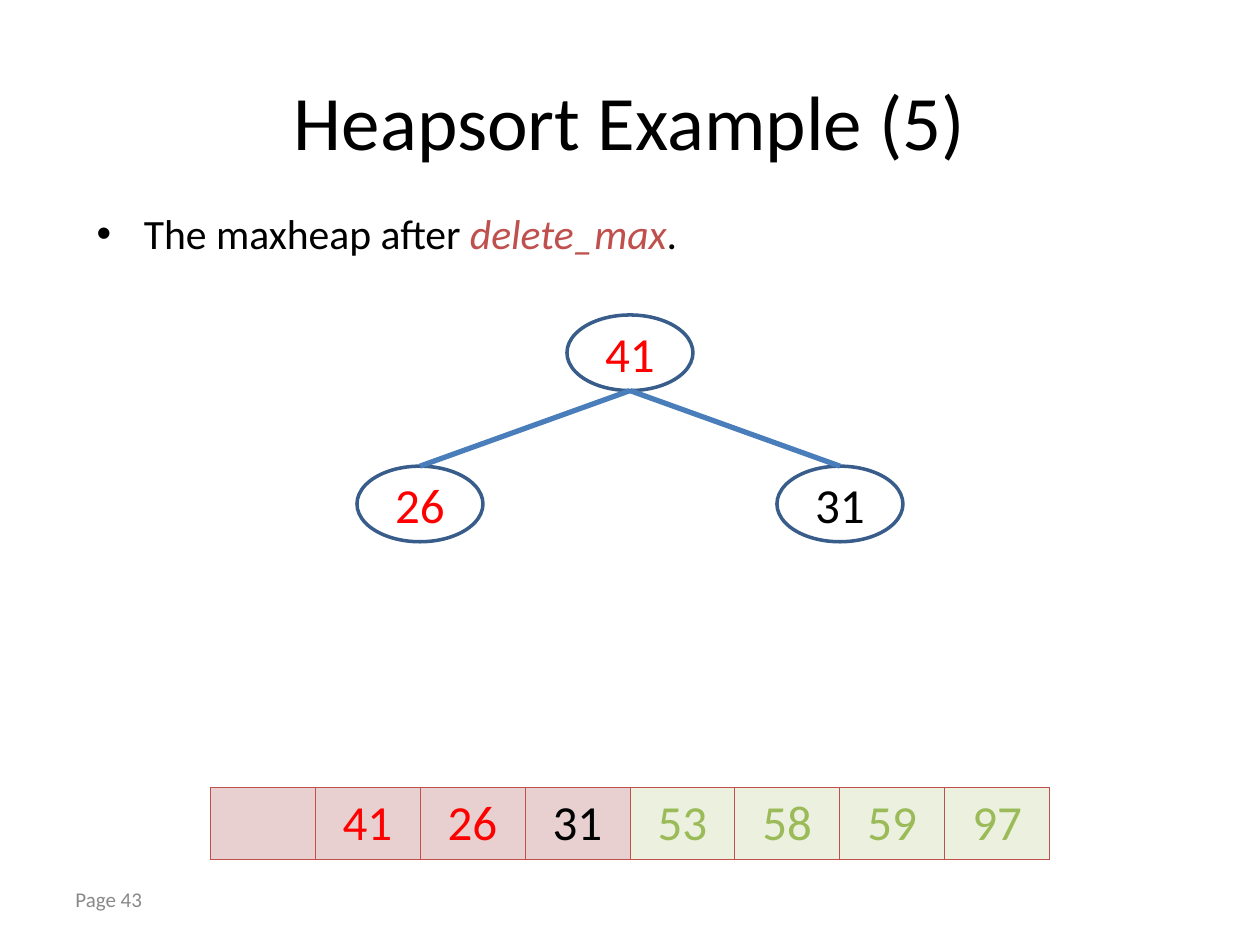
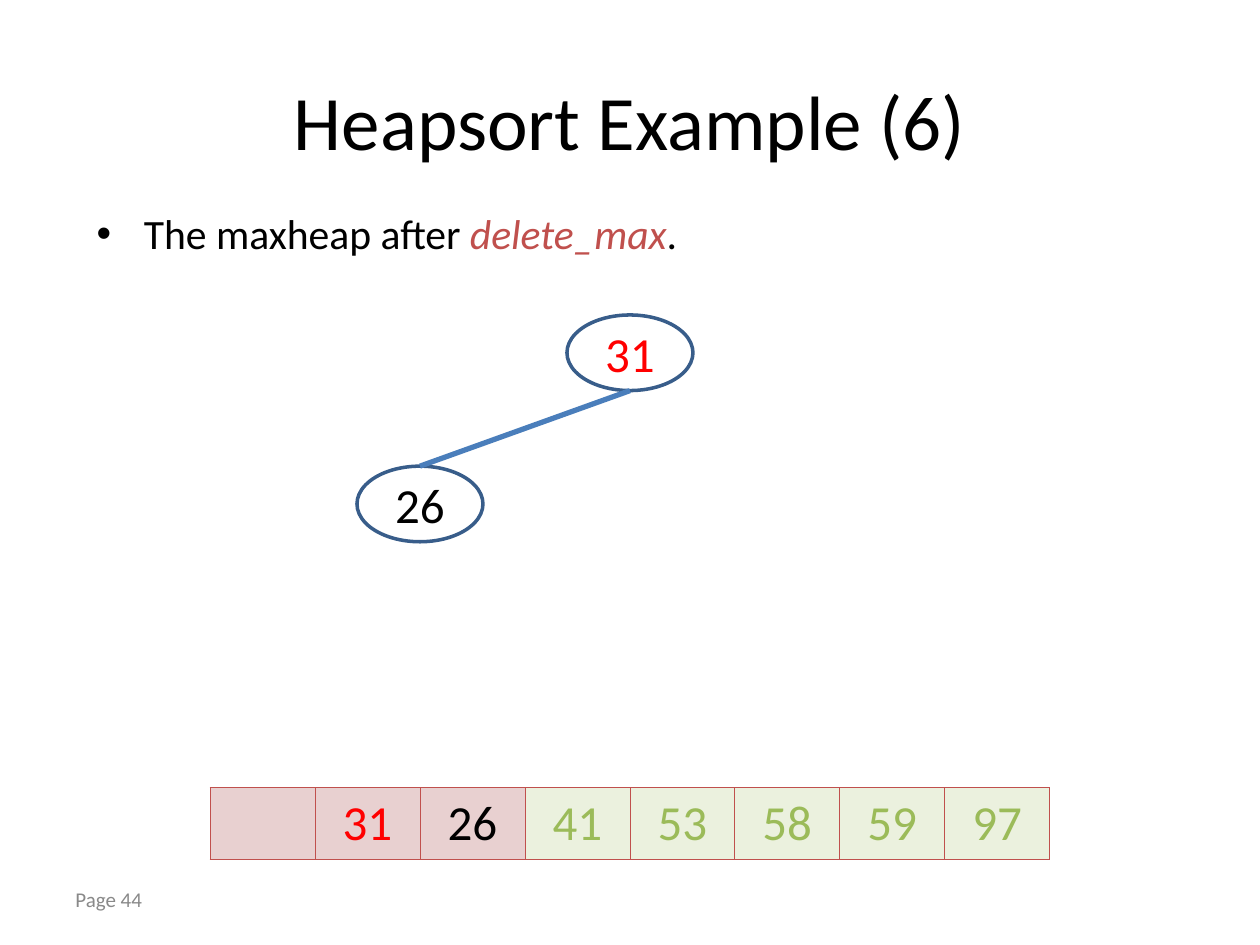
from pptx import Presentation
from pptx.dml.color import RGBColor
from pptx.enum.shapes import MSO_CONNECTOR as Line, MSO_SHAPE as Shape
from pptx.enum.text import MSO_ANCHOR as Anchor, MSO_AUTO_SIZE as AutoSize, PP_ALIGN as Align
from pptx.oxml.ns import qn
from pptx.util import Pt
from lxml.etree import SubElement

BLACK, RED, GREEN, GRAY = "000000", "FF0000", "9BBB59", "898989"
ACCENT, NODE_LINE, EDGE = "C0504D", "385D8A", "4A7EBB"
HEAP_FILL, SORTED_FILL = "E8D0D0", "EBF1DE"
NODE_W, NODE_H = 72, 43.2
NODE_CENTERS = [(360, 201.6), (240, 288), (480, 288)]
ARRAY_LEFT, ARRAY_TOP, CELL_W, CELL_H = 120, 450, 60, 41

TITLE = dict(size=Pt(44))
BODY = dict(size=Pt(23.8))
EMPHASIS = dict(size=Pt(23.8), italic=True)
NUMBER = dict(size=Pt(28))
FOOTER = dict(size=Pt(12))


def rgb(value):
    return RGBColor.from_string(value)


def place(sp, left, top, width, height):
    sp.left, sp.top, sp.width, sp.height = Pt(left), Pt(top), Pt(width), Pt(height)


def add_run(p, text, style, color=BLACK):
    r = p.add_run()
    r.text = text
    r.font.name = "Calibri"
    r.font.color.rgb = rgb(color)
    for name, value in style.items():
        setattr(r.font, name, value)


def add_title(s, text):
    sp = s.shapes.title
    place(sp, 36, 21.6, 648, 90)
    tf = sp.text_frame
    tf.auto_size, tf.vertical_anchor, tf.margin_top = AutoSize.NONE, Anchor.MIDDLE, Pt(7)
    p = tf.paragraphs[0]
    p.alignment = Align.CENTER
    add_run(p, text, TITLE)


def add_body(s):
    sp = s.placeholders[1]
    place(sp, 48, 114, 630, 37.5)
    tf = sp.text_frame
    tf.auto_size, tf.margin_top = AutoSize.NONE, Pt(5)
    p = tf.paragraphs[0]
    p.space_before = Pt(0)
    add_run(p, "The maxheap after ", BODY)
    add_run(p, "delete_max", EMPHASIS, ACCENT)
    add_run(p, ".", BODY)


def add_footer(s, page):
    tf = s.shapes.add_textbox(Pt(36), Pt(500.5), Pt(168), Pt(28.8)).text_frame
    tf.word_wrap, tf.vertical_anchor = True, Anchor.MIDDLE
    p = tf.paragraphs[0]
    p.line_spacing = 0.85
    add_run(p, f"Page {page}", FOOTER, GRAY)


def add_borders(cell):
    tc_pr = cell._tc.get_or_add_tcPr()
    for side in ("a:lnL", "a:lnR", "a:lnT", "a:lnB"):
        ln = SubElement(tc_pr, qn(side), w=str(Pt(0.45)))
        SubElement(SubElement(ln, qn("a:solidFill")), qn("a:srgbClr"), val=ACCENT)


def add_array(s, heap, done):
    entries = [("", BLACK, HEAP_FILL)]
    entries += [(value, color, HEAP_FILL) for value, color in heap]
    entries += [(value, GREEN, SORTED_FILL) for value in done]
    count = len(entries)
    table = s.shapes.add_table(1, count, Pt(ARRAY_LEFT), Pt(ARRAY_TOP),
                               Pt(CELL_W * count), Pt(CELL_H)).table
    table.first_row = table.horz_banding = False
    for cell, (value, color, fill) in zip(table.iter_cells(), entries):
        add_borders(cell)
        cell.fill.solid()
        cell.fill.fore_color.rgb = rgb(fill)
        if value:
            p = cell.text_frame.paragraphs[0]
            p.alignment = Align.CENTER
            add_run(p, str(value), NUMBER, color)


def add_node(s, center, value, color):
    x, y = center
    sp = s.shapes.add_shape(Shape.OVAL, Pt(x - NODE_W / 2), Pt(y - NODE_H / 2),
                            Pt(NODE_W), Pt(NODE_H))
    sp.shadow.inherit = False
    sp.fill.background()
    sp.line.color.rgb = rgb(NODE_LINE)
    sp.line.width = Pt(2)
    tf = sp.text_frame
    tf.vertical_anchor = Anchor.MIDDLE
    p = tf.paragraphs[0]
    p.alignment = Align.CENTER
    add_run(p, str(value), NUMBER, color)
    return sp


def add_edge(s, parent, child):
    x, y = parent.left + parent.width // 2, parent.top + parent.height
    edge = s.shapes.add_connector(Line.STRAIGHT, x, y, x, y)
    edge.end_connect(child, 0)
    edge.line.color.rgb = rgb(EDGE)
    edge.line.width = Pt(3)
    SubElement(edge._element.spPr, qn("a:effectLst"))


def add_heap(s, heap):
    nodes = [add_node(s, center, *entry) for center, entry in zip(NODE_CENTERS, heap)]
    for i, child in enumerate(nodes[1:], 1):
        add_edge(s, nodes[(i - 1) // 2], child)


def add_step(prs, step, page, heap, done):
    s = prs.slides.add_slide(prs.slide_layouts[1])
    add_title(s, f"Heapsort Example ({step})")
    add_body(s)
    add_footer(s, page)
    add_array(s, heap, done)
    add_heap(s, heap)


def main():
    prs = Presentation()
    prs.slide_width, prs.slide_height = Pt(720), Pt(540)
    add_step(prs, 5, 43, [(41, RED), (26, RED), (31, BLACK)], [53, 58, 59, 97])
    add_step(prs, 6, 44, [(31, RED), (26, BLACK)], [41, 53, 58, 59, 97])
    prs.save("out.pptx")


if __name__ == "__main__":
    main()
